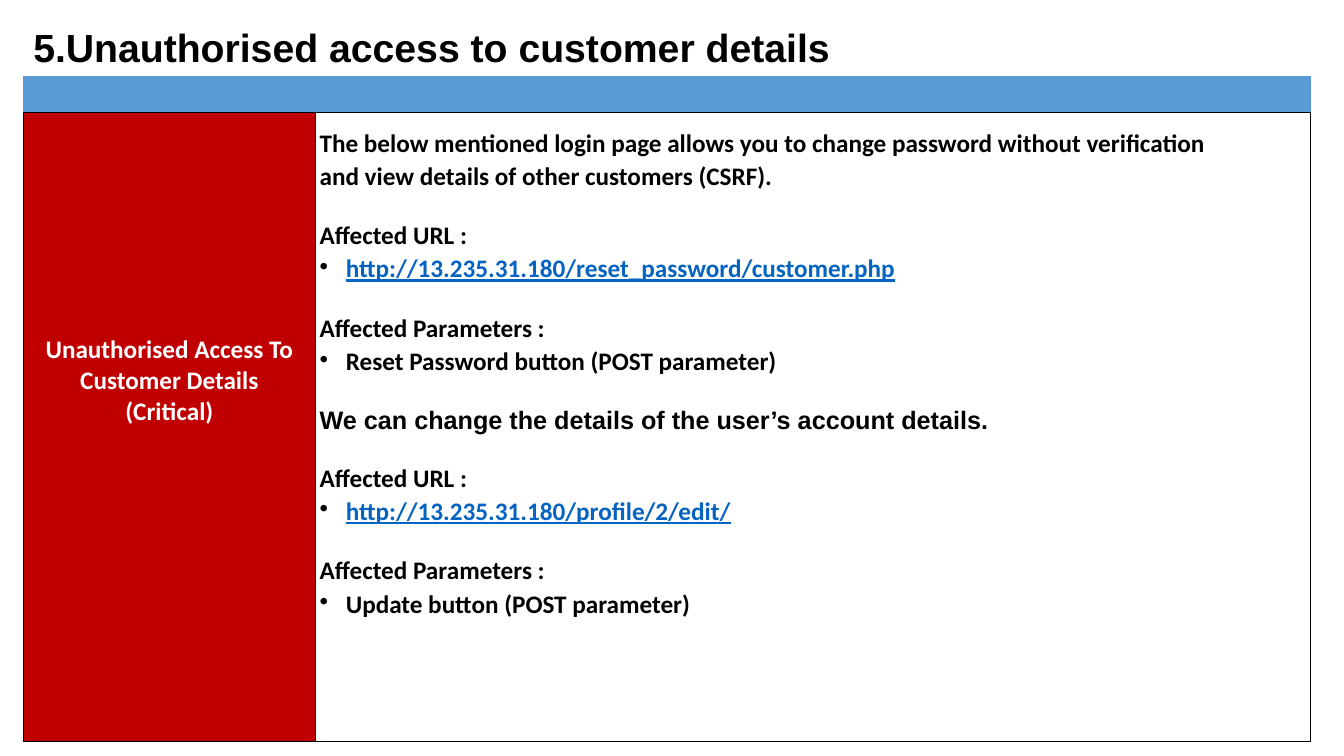
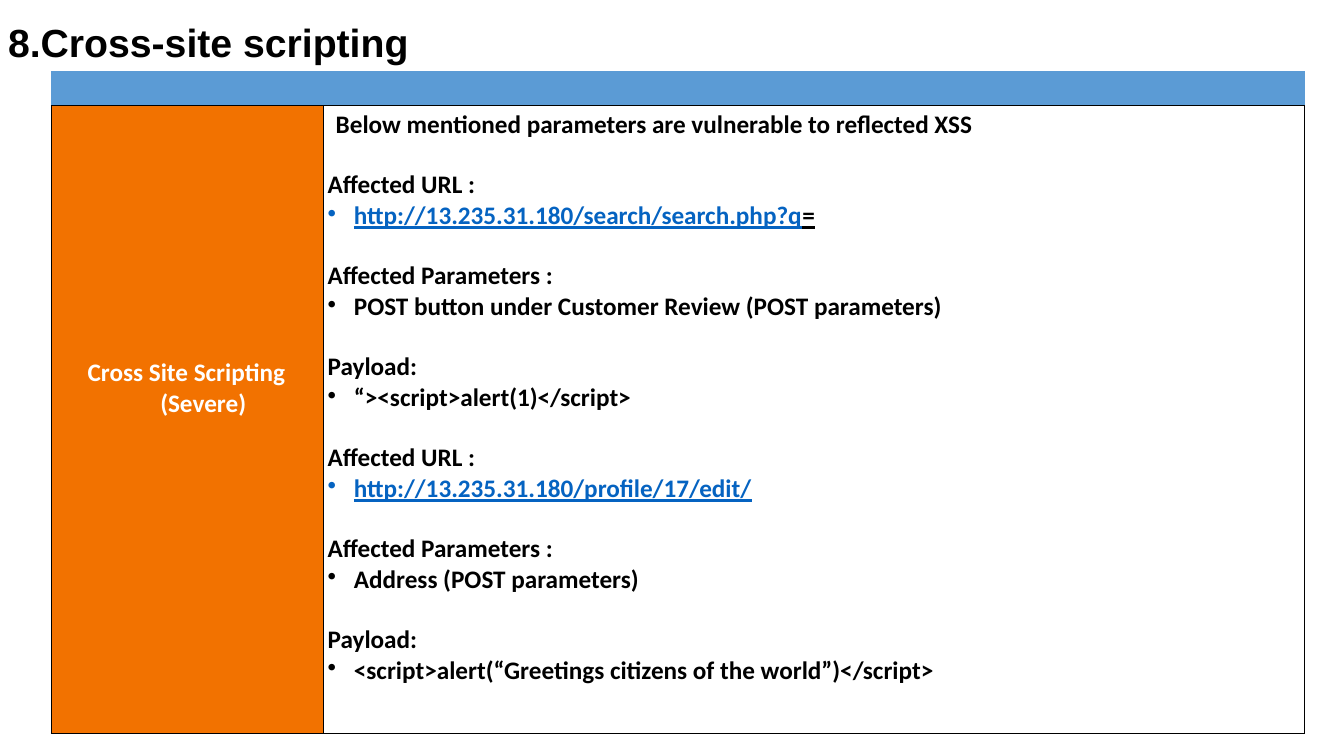
from dataclasses import dataclass

from lxml import etree
from pptx import Presentation
from pptx.dml.color import RGBColor
from pptx.enum import text
from pptx.oxml import ns
from pptx.util import Inches, Pt

BLACK = RGBColor(0x00, 0x00, 0x00)
WHITE = RGBColor(0xFF, 0xFF, 0xFF)
BAND_BLUE = RGBColor(0x5B, 0x9B, 0xD5)
LINK_BLUE = RGBColor(0x05, 0x63, 0xC1)
CRITICAL_RED = RGBColor(0xC0, 0x00, 0x00)
SEVERE_ORANGE = RGBColor(0xF2, 0x72, 0x00)

HEADING_FONT = "Arial"
BODY_FONT = "Calibri"
BODY_INDENT = 0.04
SECTION_GAP = 20.5


@dataclass
class Finding:
    title: str
    title_box: tuple
    table_box: tuple
    label_width: float
    band_height: float
    severity: str
    severity_fill: RGBColor
    severity_top: float
    severity_align: text.PP_ALIGN
    severity_indent: tuple
    lead: str
    lead_indent: float
    details_top: float
    bullet_gap: float
    link_bullet: RGBColor
    sections: list  # (heading, bullet) pairs; a plain statement has no bullet


CUSTOMER_ACCESS = Finding(
    title="5.Unauthorised access to customer details",
    title_box=(0.23, 0.18, 11.15, 0.57),
    table_box=(0.23, 0.75, 12.77, 6.61),
    label_width=2.9,
    band_height=0.37,
    severity="Unauthorised Access To Customer Details (Critical)",
    severity_fill=CRITICAL_RED,
    severity_top=2.19,
    severity_align=text.PP_ALIGN.CENTER,
    severity_indent=(0, 0),
    lead="The below mentioned login page allows you to change password without "
         "verification and view details of other customers (CSRF).",
    lead_indent=BODY_INDENT,
    details_top=0.13,
    bullet_gap=1.9,
    link_bullet=BLACK,
    sections=[
        ("Affected URL :", "http://13.235.31.180/reset_password/customer.php"),
        ("Affected Parameters :", "Reset Password button (POST parameter)"),
        ("We can change the details of the user’s account details.", None),
        ("Affected URL :", "http://13.235.31.180/profile/2/edit/"),
        ("Affected Parameters :", "Update button (POST parameter)"),
    ],
)

CROSS_SITE_SCRIPTING = Finding(
    title="8.Cross-site scripting",
    title_box=(-0.02, 0.13, 8.61, 0.57),
    table_box=(0.51, 0.7, 12.43, 6.58),
    label_width=2.7,
    band_height=0.35,
    severity="Cross Site Scripting (Severe)",
    severity_fill=SEVERE_ORANGE,
    severity_top=2.49,
    severity_align=text.PP_ALIGN.LEFT,
    severity_indent=(0.91, -0.72),
    lead="Below mentioned parameters are vulnerable to reflected XSS",
    lead_indent=0.12,
    details_top=0.02,
    bullet_gap=0.5,
    link_bullet=LINK_BLUE,
    sections=[
        ("Affected URL :", "http://13.235.31.180/search/search.php?q="),
        ("Affected Parameters :", "POST button under Customer Review (POST parameters)"),
        ("Payload:", "“><script>alert(1)</script>"),
        ("Affected URL :", "http://13.235.31.180/profile/17/edit/"),
        ("Affected Parameters :", "Address (POST parameters)"),
        ("Payload:", "<script>alert(“Greetings citizens of the world”)</script>"),
    ],
)


def set_font(paragraph, color=BLACK, name=BODY_FONT, size=18):
    font = paragraph.font
    font.name, font.size, font.bold = name, Pt(size), True
    font.color.rgb = color


def set_indent(paragraph, left, first=0):
    props = paragraph._p.get_or_add_pPr()
    props.set("marL", str(Inches(left)))
    props.set("indent", str(Inches(first)))


def set_bullet(paragraph, color):
    props = paragraph._p.get_or_add_pPr()
    bullet_color = etree.SubElement(props, ns.qn("a:buClr"))
    etree.SubElement(bullet_color, ns.qn("a:srgbClr"), val=str(color))
    etree.SubElement(props, ns.qn("a:buChar"), char="•")


def set_margins(cell, left=0, top=0, right=0):
    cell.margin_left, cell.margin_top = Inches(left), Inches(top)
    cell.margin_right, cell.margin_bottom = Inches(right), 0


def set_cell(cell, fill, drawn_sides):
    """Fill a cell and draw black borders on the sides named by L, R, T, B."""
    props = cell._tc.get_or_add_tcPr()
    for side in "LRTB":
        line = etree.SubElement(props, ns.qn(f"a:ln{side}"), w=str(Pt(1)))
        if side in drawn_sides:
            solid = etree.SubElement(line, ns.qn("a:solidFill"))
            etree.SubElement(solid, ns.qn("a:srgbClr"), val=str(BLACK))
        else:
            etree.SubElement(line, ns.qn("a:noFill"))
    cell.fill.solid()
    cell.fill.fore_color.rgb = fill


def add_title(slide, finding):
    title = slide.shapes.title
    title.left, title.top, title.width, title.height = map(Inches, finding.title_box)
    frame = title.text_frame
    frame.text = finding.title
    frame.vertical_anchor = text.MSO_ANCHOR.MIDDLE
    heading = frame.paragraphs[0]
    heading.alignment = text.PP_ALIGN.LEFT
    set_font(heading, name=HEADING_FONT, size=28)


def write_severity(cell, finding):
    set_margins(cell, 0.17, finding.severity_top, 0.17)
    label = cell.text_frame.paragraphs[0]
    label.text = finding.severity
    label.alignment = finding.severity_align
    label.line_spacing = 1.02
    set_indent(label, *finding.severity_indent)
    set_font(label, WHITE)


def add_bullet(frame, content, finding):
    bullet = frame.add_paragraph()
    is_link = content.startswith("http")
    set_indent(bullet, 0.3, -0.26)
    set_bullet(bullet, finding.link_bullet if is_link else BLACK)
    bullet.space_before = Pt(finding.bullet_gap)
    set_font(bullet)
    if not is_link:
        bullet.add_run().text = content
        return
    bullet.font.underline = True
    address, equals, _ = content.partition("=")
    link = bullet.add_run()
    link.text = address
    link.font.color.rgb = LINK_BLUE
    if equals:
        bullet.add_run().text = equals


def write_details(cell, finding):
    set_margins(cell, top=finding.details_top, right=0.8)
    frame = cell.text_frame
    lead = frame.paragraphs[0]
    lead.text = finding.lead
    lead.line_spacing = 1.07
    set_indent(lead, finding.lead_indent)
    set_font(lead)
    for heading, content in finding.sections:
        paragraph = frame.add_paragraph()
        paragraph.text = heading
        paragraph.space_before = Pt(SECTION_GAP)
        set_indent(paragraph, BODY_INDENT)
        set_font(paragraph, name=BODY_FONT if content else HEADING_FONT)
        if content:
            add_bullet(frame, content, finding)


def add_finding_table(slide, finding):
    table = slide.shapes.add_table(2, 2, *map(Inches, finding.table_box)).table
    table.first_row = table.horz_banding = False
    _, _, width, height = finding.table_box
    table.columns[0].width = Inches(finding.label_width)
    table.columns[1].width = Inches(width - finding.label_width)
    table.rows[0].height = Inches(finding.band_height)
    table.rows[1].height = Inches(height - finding.band_height)

    band, band_end = table.cell(0, 0), table.cell(0, 1)
    band.merge(band_end)
    for cell in (band, band_end):
        set_margins(cell)
        set_cell(cell, BAND_BLUE, "B")

    severity, details = table.cell(1, 0), table.cell(1, 1)
    set_cell(severity, finding.severity_fill, "LRTB")
    set_cell(details, WHITE, "LRTB")
    write_severity(severity, finding)
    write_details(details, finding)


def main():
    deck = Presentation()
    deck.slide_width, deck.slide_height = Inches(13.33), Inches(7.5)
    title_only = deck.slide_layouts[5]
    for finding in (CUSTOMER_ACCESS, CROSS_SITE_SCRIPTING):
        slide = deck.slides.add_slide(title_only)
        add_title(slide, finding)
        add_finding_table(slide, finding)
    deck.save("out.pptx")


if __name__ == "__main__":
    main()
